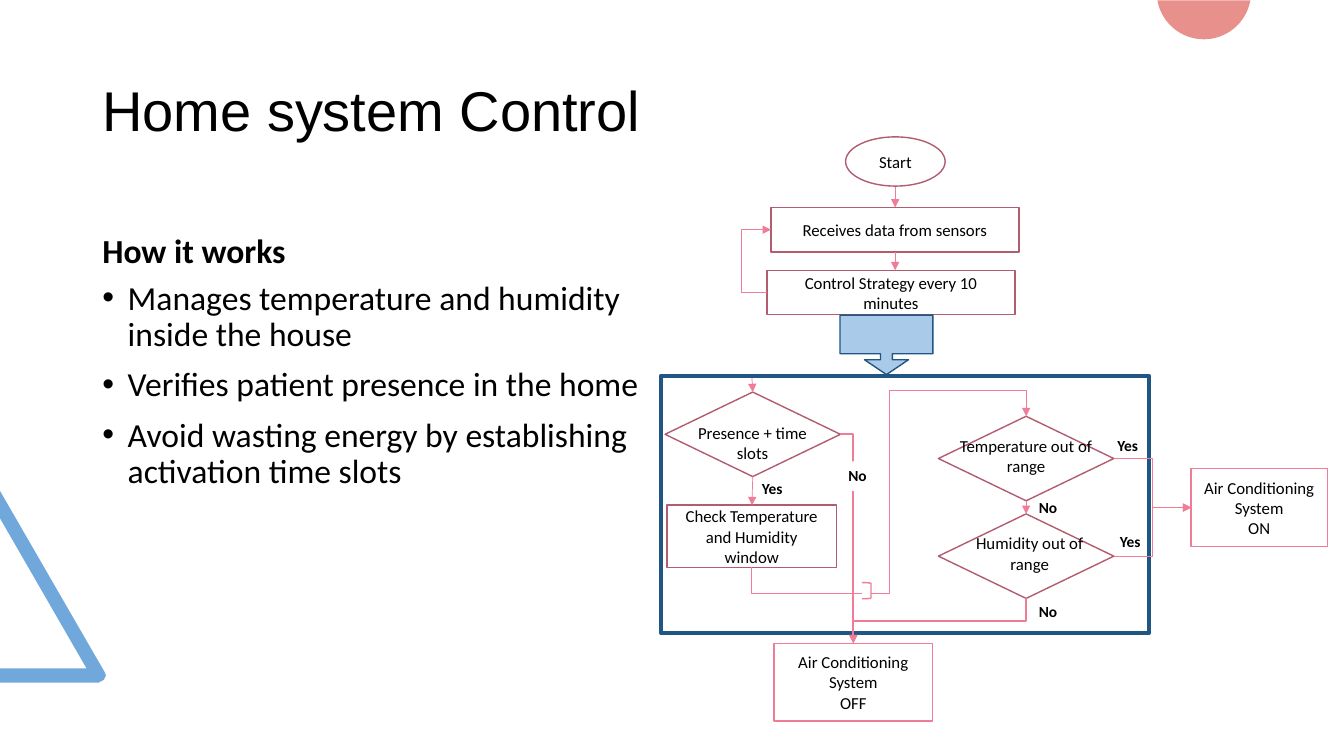
from math import cos, radians, sin

from lxml.etree import SubElement
from pptx import Presentation
from pptx.dml.color import RGBColor
from pptx.enum.shapes import MSO_CONNECTOR as Connector, MSO_SHAPE as Shape
from pptx.enum.text import MSO_ANCHOR as Anchor, PP_ALIGN as Align
from pptx.oxml.ns import qn
from pptx.util import Cm, Pt

BLACK, WHITE = "000000", "FFFFFF"
PLUM, PINK, NAVY = "B25C70", "F07C98", "215584"


def rgb(value):
    """Turn a hex string into a colour."""
    return RGBColor.from_string(value)


def paint(shape, fill=None, line=None, weight=1):
    """Set fill and outline, and drop the shadow."""
    shape.shadow.inherit = False
    if fill:
        shape.fill.solid()
        shape.fill.fore_color.rgb = rgb(fill)
    else:
        shape.fill.background()
    if line:
        shape.line.color.rgb = rgb(line)
        shape.line.width = Pt(weight)
    else:
        shape.line.fill.background()


def write(shape, lines, size, font="Calibri", bold=False, align=Align.LEFT,
          anchor=Anchor.TOP, spacing=None, bullet=False):
    """Fill a shape with evenly styled paragraphs."""
    frame = shape.text_frame
    frame.word_wrap = True
    frame.vertical_anchor = anchor
    for index, line in enumerate(lines):
        paragraph = frame.add_paragraph() if index else frame.paragraphs[0]
        paragraph.text = line
        paragraph.alignment = align
        if spacing:
            paragraph.line_spacing = spacing
        if bullet:
            properties = paragraph._p.get_or_add_pPr()
            properties.set("marL", str(Cm(0.64)))
            properties.set("indent", str(Cm(-0.64)))
            if index:
                paragraph.space_before = Pt(10)
            SubElement(properties, qn("a:buFont"), typeface="Arial")
            SubElement(properties, qn("a:buChar"), char="•")
        paragraph.font.name = font
        paragraph.font.size = Pt(size)
        paragraph.font.bold = bold
        paragraph.font.color.rgb = rgb(BLACK)


def add_text(slide, box, lines, size, **style):
    """Add a wrapped text box."""
    shape = slide.shapes.add_textbox(*map(Cm, box))
    write(shape, lines, size, **style)
    return shape


def add_node(slide, kind, box, lines=(), fill=None, line=PLUM, weight=1):
    """Add a flowchart shape with centred text."""
    shape = slide.shapes.add_shape(kind, *map(Cm, box))
    paint(shape, fill, line, weight)
    write(shape, lines, 12, align=Align.CENTER, anchor=Anchor.MIDDLE)
    return shape


def add_outline(slide, points, fill):
    """Add a filled outline through the points."""
    start, *others = [tuple(map(Cm, point)) for point in points]
    builder = slide.shapes.build_freeform(*start)
    builder.add_line_segments(others, close=True)
    paint(builder.convert_to_shape(), fill)


def style_arrow(connector, weight):
    """Colour a connector and give its end an arrowhead."""
    connector.line.color.rgb = rgb(PINK)
    connector.line.width = Pt(weight)
    SubElement(connector.line._get_or_add_ln(), qn("a:tailEnd"), type="triangle")
    SubElement(connector._element.spPr, qn("a:effectLst"))


def add_arrow(slide, start, end):
    """Add a straight arrow."""
    connector = slide.shapes.add_connector(
        Connector.STRAIGHT, *map(Cm, start + end))
    style_arrow(connector, 0.5)


def add_elbow(slide, start, end, preset, bends=(), rotation=0, weight=0.5):
    """Add a bent arrow glued to two shapes, each given with its site."""
    connector = slide.shapes.add_connector(Connector.ELBOW, 0, 0, 0, 0)
    connector.begin_connect(*start)
    connector.end_connect(*end)
    if rotation:
        width, height = connector.width, connector.height
        connector.left += (width - height) // 2
        connector.top += (height - width) // 2
        connector.width, connector.height = height, width
        frame = connector._element.spPr.find(qn("a:xfrm"))
        frame.attrib.clear()
        frame.set("rot", str(rotation * 60000))
    geometry = connector._element.spPr.find(qn("a:prstGeom"))
    geometry.set("prst", preset)
    guides = geometry.find(qn("a:avLst"))
    for number, bend in enumerate(bends, 1):
        SubElement(guides, qn("a:gd"), name=f"adj{number}",
                   fmla=f"val {round(bend * 100000)}")
    style_arrow(connector, weight)


def add_decoration(slide):
    """Add the triangle and the circle cut by the slide edges."""
    add_outline(slide, [(0, 17.2), (0, 16.84), (2.18, 16.84), (0, 13.06),
                        (0, 12.37), (2.64, 16.94), (2.67, 17.02),
                        (2.62, 17.13), (2.49, 17.2)], "70A8DB")
    arc = [(30.34 + 1.19 * cos(radians(angle)), 1.19 * sin(radians(angle)) - 0.2)
           for angle in range(10, 171, 4)]
    add_outline(slide, arc, "E8908B")


def add_description(slide):
    """Add the title, the heading and the bullets."""
    add_text(slide, (2.33, 1.01, 29.21, 3.68), ["Home system Control"], 40,
             font="Arial", anchor=Anchor.MIDDLE, spacing=0.9)
    add_text(slide, (2.33, 4.67, 14.33, 2.29), ["How it works"], 24,
             bold=True, anchor=Anchor.BOTTOM, spacing=0.9)
    add_text(slide, (2.33, 6.96, 14.33, 10.24), [
        "Manages temperature and humidity inside the house",
        "Verifies patient presence in the home",
        "Avoid wasting energy by establishing activation time slots",
    ], 24, spacing=0.9, bullet=True)


def add_flowchart(slide):
    """Add the nodes, arrows and labels of the control flow."""
    process, decision = Shape.FLOWCHART_PROCESS, Shape.FLOWCHART_DECISION
    add_node(slide, Shape.OVAL, (21.31, 3.45, 2.51, 1.24), ["Start"])
    receive = add_node(slide, Shape.RECTANGLE, (19.43, 5.23, 6.25, 1.12),
                       ["Receives data from sensors"])
    control = add_node(slide, Shape.RECTANGLE, (19.33, 6.81, 6.25, 1.12),
                       ["Control Strategy every 10 minutes"])
    callout = add_node(slide, Shape.RIGHT_ARROW_CALLOUT, (21.59, 7.52, 1.5, 2.34),
                       fill="A9CBE9", line=NAVY)
    callout.rotation = 90
    for index, value in enumerate((0.2, 0.37, 0.25, 0.65)):
        callout.adjustments[index] = value
    check = add_node(slide, process, (16.81, 12.73, 4.27, 1.57),
                     ["Check Temperature and Humidity window"])
    add_node(slide, process, (16.66, 9.47, 12.29, 6.48), line=NAVY, weight=3)
    presence, temperature, humidity = [
        add_node(slide, decision, (left, top, 4.42, 2.13))
        for left, top in ((16.76, 9.88), (23.65, 10.49), (23.65, 12.95))]
    for text, left, top, width in (
            ("Presence + time slots", 17.02, 10.52, 3.89),
            ("Temperature out of range", 23.65, 10.85, 4.42),
            ("Humidity out of range", 24.21, 13.31, 3.48)):
        add_text(slide, (left, top, width, 1.27), [text], 12, align=Align.CENTER)
    turn_on, turn_off = [
        add_node(slide, Shape.RECTANGLE, box, ["Air Conditioning System", state],
                 fill=WHITE, line=PINK)
        for state, box in (("ON", (30.02, 11.81, 3.43, 1.96)),
                           ("OFF", (19.51, 16.21, 3.99, 1.96)))]

    for start, end in (((22.56, 4.7), (22.56, 5.23)),
                       ((22.56, 6.35), (22.56, 6.81)),
                       ((18.95, 9.53), (18.97, 9.88)),
                       ((18.97, 12.01), (18.95, 12.73)),
                       ((25.86, 12.62), (25.86, 12.95))):
        add_arrow(slide, start, end)
    add_elbow(slide, (control, 1), (receive, 1), "bentConnector3", [-6.4])
    add_elbow(slide, (presence, 3), (turn_off, 0), "bentConnector2", weight=1.5)
    for sensor in (temperature, humidity):
        add_elbow(slide, (sensor, 3), (turn_on, 1), "bentConnector3", [0.5])
    add_elbow(slide, (check, 2), (temperature, 0), "bentConnector5",
              [-0.17, 0.5, 1.17], rotation=270)
    add_node(slide, Shape.RIGHT_BRACKET, (21.72, 14.68, 0.23, 0.41),
             fill=WHITE, line=PINK)
    add_elbow(slide, (humidity, 2), (turn_off, 0), "bentConnector3", [0.5],
              rotation=90, weight=1.5)

    for text, left, top, width, fill in (
            ("Yes", 18.95, 11.96, 1.35, None), ("Yes", 27.91, 10.87, 1.52, None),
            ("Yes", 27.97, 13.28, 1.45, None), ("No", 25.93, 12.42, 1.14, None),
            ("No", 25.93, 15.04, 1.14, None), ("No", 21.13, 11.63, 1.14, WHITE)):
        label = add_text(slide, (left, top, width, 0.74), [text], 11, bold=True)
        paint(label, fill)


def main():
    """Build and save the slide."""
    presentation = Presentation()
    presentation.slide_width, presentation.slide_height = Cm(33.87), Cm(19.05)
    slide = presentation.slides.add_slide(presentation.slide_layouts[6])
    add_decoration(slide)
    add_description(slide)
    add_flowchart(slide)
    presentation.save("out.pptx")


if __name__ == "__main__":
    main()
